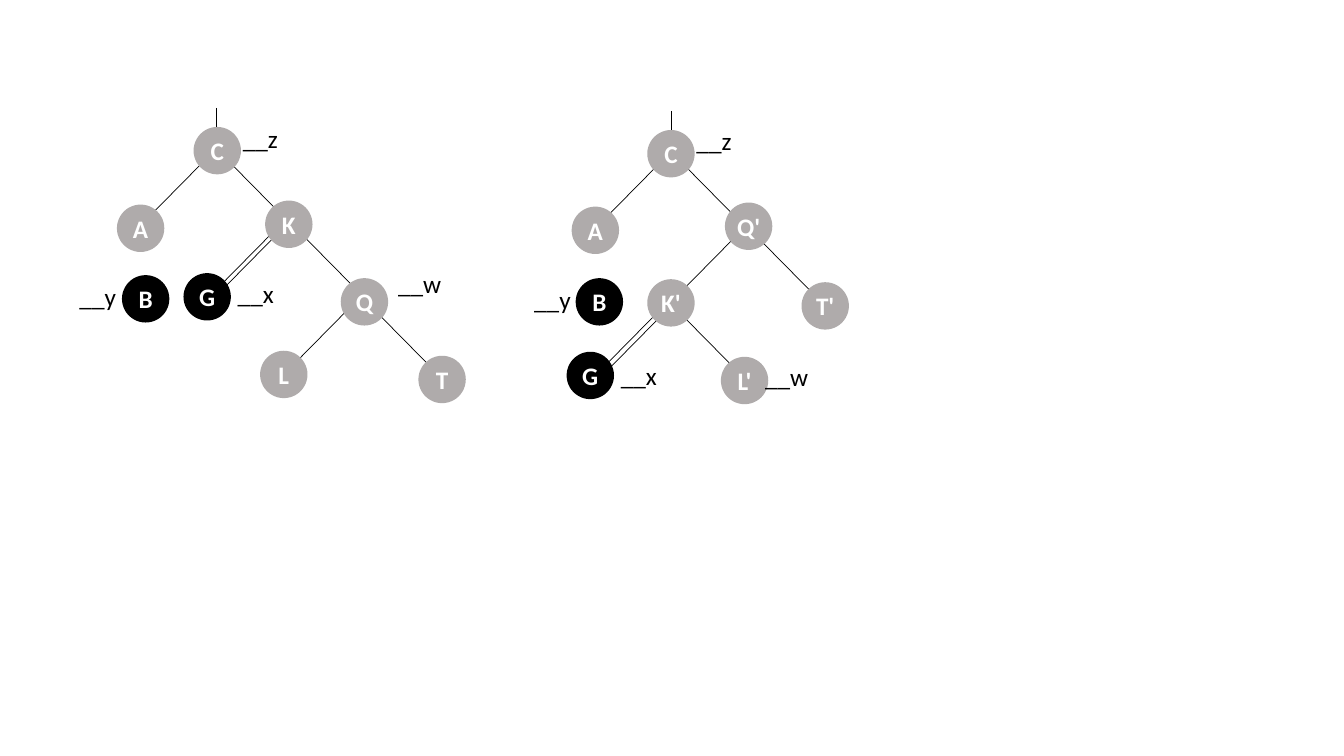
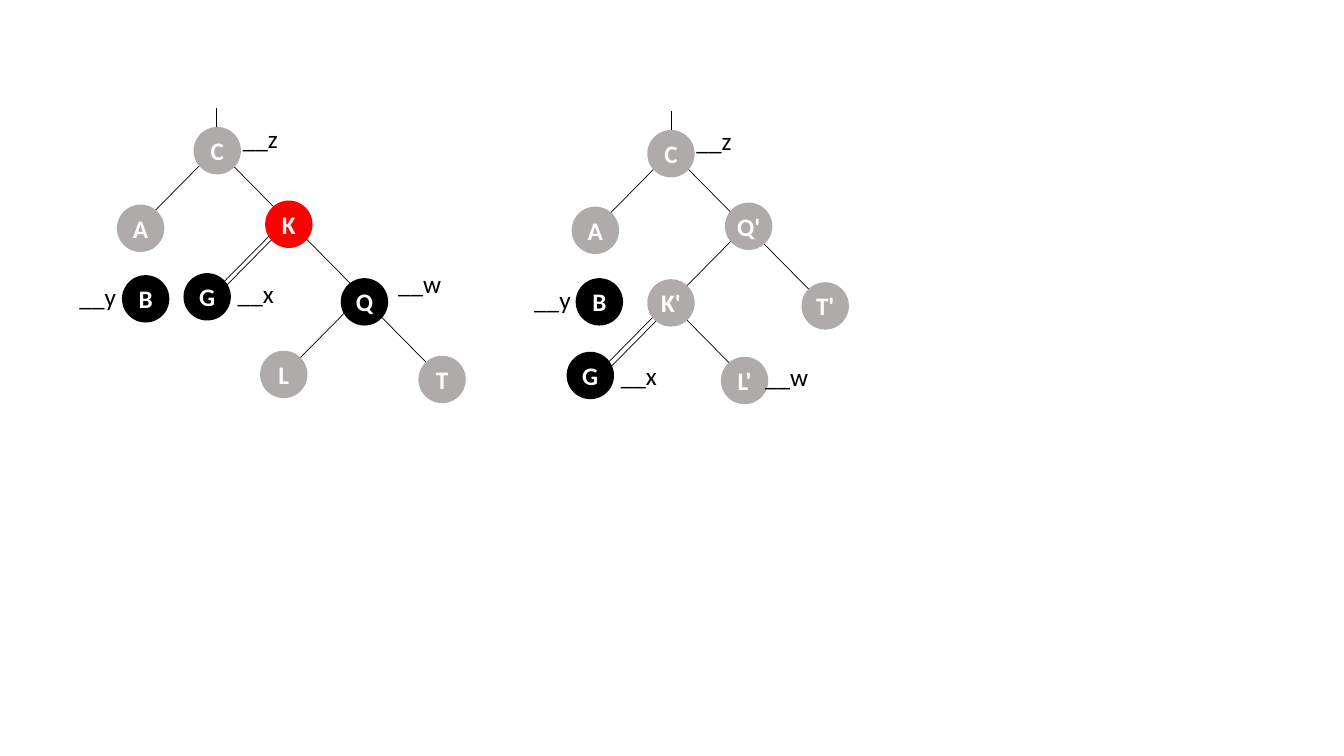
from pptx import Presentation, util as u
from pptx.dml.color import RGBColor
from pptx.enum import shapes, text
from pptx.oxml.ns import qn
from lxml import etree

PX = 9144
GREY = RGBColor(0xAF, 0xAB, 0xAB)
BLACK = RGBColor(0, 0, 0)
RED = RGBColor(0xFF, 0, 0)
WHITE = RGBColor(0xFF, 0xFF, 0xFF)
SIZE = 47
STEM, LEFT, RIGHT = (0, 35), (-73, 74), (74, 75)

edges = [
    (STEM, [(215, 107), (666, 110)]),
    (LEFT, [(214, 148), (276, 225), (283, 224), (354, 298),
            (665, 151), (745, 219), (664, 298), (667, 302)]),
    (RIGHT, [(215, 148), (291, 224), (364, 300),
             (666, 151), (744, 228), (667, 303)]),
]
nodes = [
    ("C", 192, 126), ("K", 263, 199), ("B", 121, 273), ("A", 116, 203),
    ("G", 182, 271), ("Q", 338, 276), ("L", 258, 348), ("T", 415, 353),
    ("C", 642, 129), ("K'", 642, 277), ("B", 571, 276), ("A", 567, 205),
    ("G", 562, 349), ("L'", 715, 354), ("T'", 795, 280), ("Q'", 719, 201),
]
labels = [
    ("__z", 231, 117), ("__x", 226, 271), ("__y", 69, 274), ("__w", 385, 261),
    ("__z", 681, 119), ("__x", 606, 353), ("__y", 520, 277), ("__w", 749, 354),
]
fixed = {"B": BLACK, "G": BLACK}
steps = [fixed, fixed | {"K": RED, "Q": BLACK}]


def px(*vals):
    return [u.Emu(val * PX) for val in vals]


def write(frame, words, color, bold):
    para = frame.paragraphs[0]
    para.text = words
    para.font.name = "Calibri"
    para.font.size = u.Pt(18)
    para.font.bold = bold
    para.font.color.rgb = color
    return para


deck = Presentation()
deck.slide_width, deck.slide_height = px(1333, 750)

for fills in steps:
    slide = deck.slides.add_slide(deck.slide_layouts[6])

    for (dx, dy), starts in edges:
        for x, y in starts:
            edge = slide.shapes.add_connector(
                shapes.MSO_CONNECTOR.STRAIGHT, *px(x, y, x + dx, y + dy))
            edge.line.color.rgb = BLACK
            edge.line.width = u.Pt(0.5)
            etree.SubElement(edge._element.spPr, qn("a:effectLst"))

    for name, x, y in nodes:
        node = slide.shapes.add_shape(
            shapes.MSO_SHAPE.OVAL, *px(x, y, SIZE, SIZE))
        node.shadow.inherit = False
        node.fill.solid()
        node.fill.fore_color.rgb = fills.get(name, GREY)
        node.line.fill.background()
        frame = node.text_frame
        frame.margin_left = frame.margin_right = 0
        frame.margin_top = frame.margin_bottom = 0
        frame.vertical_anchor = text.MSO_ANCHOR.MIDDLE
        para = write(frame, name, WHITE, True)
        para.alignment = text.PP_ALIGN.CENTER

    for name, x, y in labels:
        frame = slide.shapes.add_textbox(*px(x, y, 66, 40)).text_frame
        frame.word_wrap = True
        frame.auto_size = text.MSO_AUTO_SIZE.SHAPE_TO_FIT_TEXT
        write(frame, name, BLACK, False)

deck.save("out.pptx")
